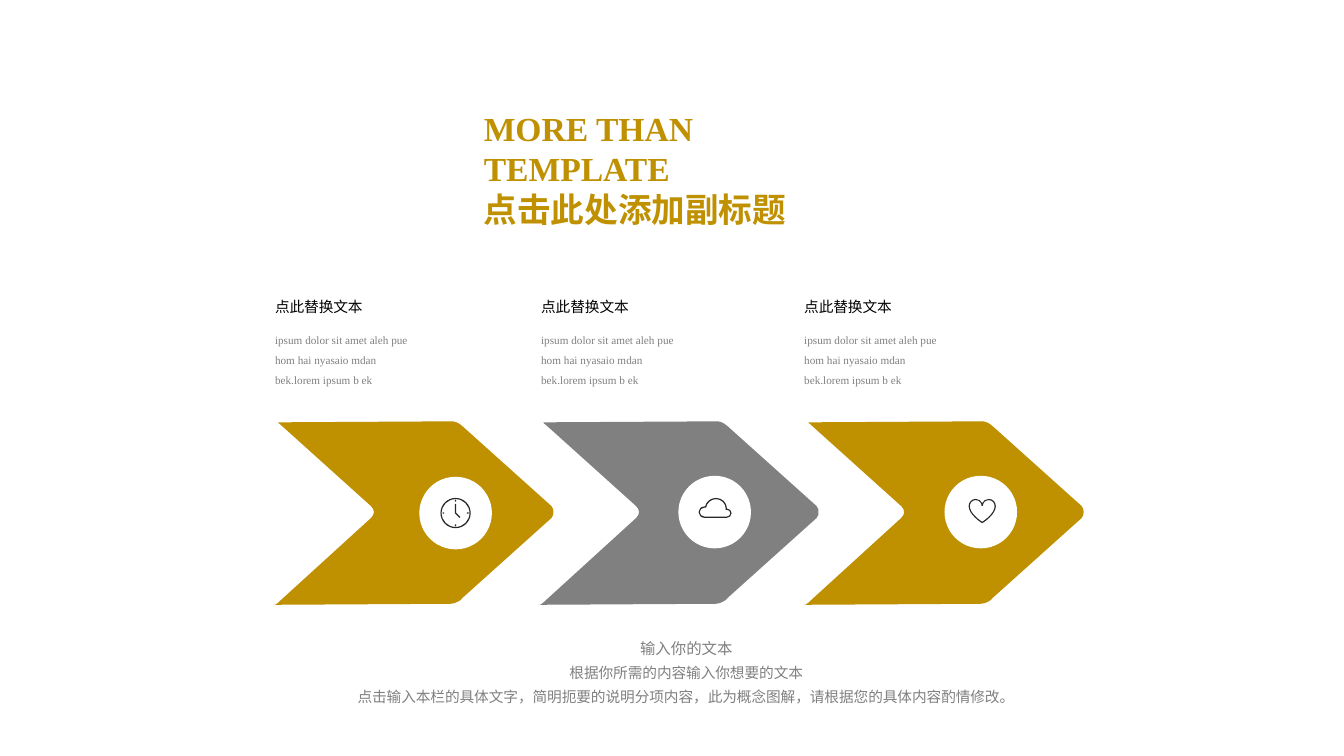
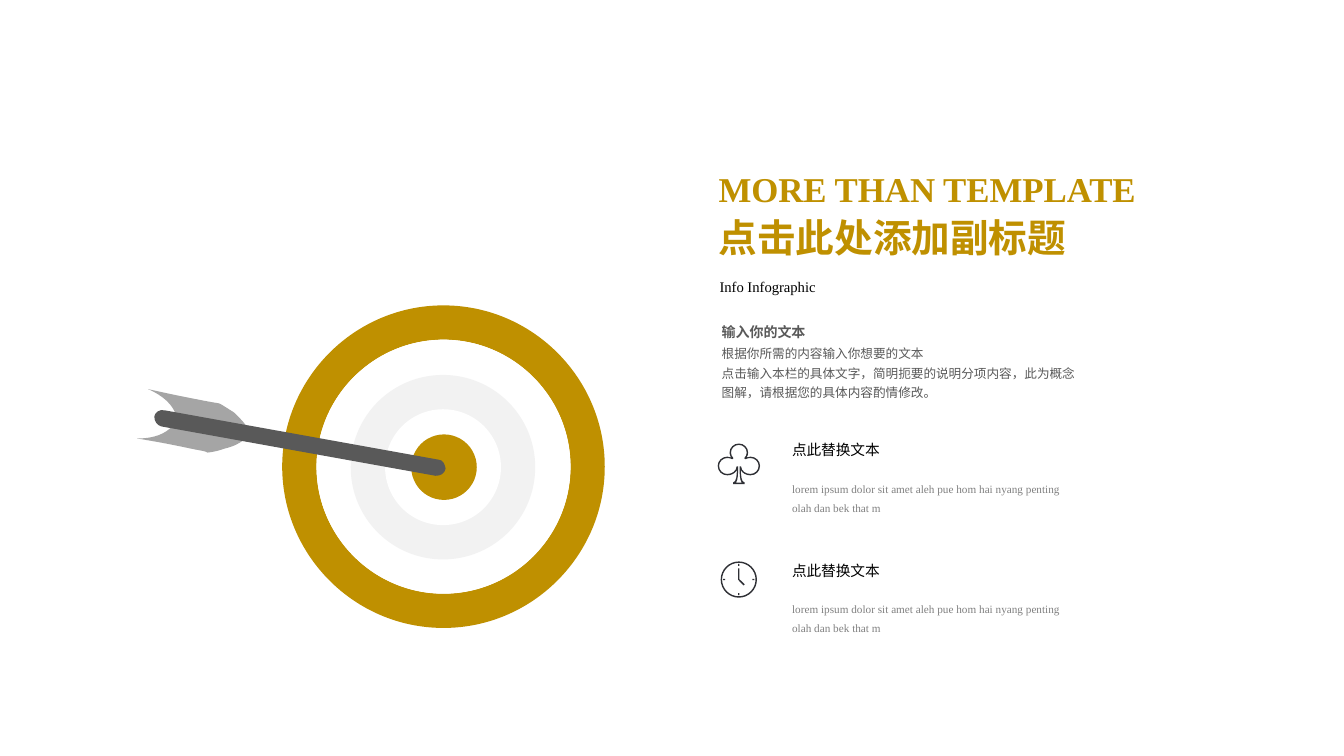
"""Build two infographic slides: a row of chevrons and a target with an arrow."""
from dataclasses import dataclass
from math import cos, radians, sin
from typing import NamedTuple, Optional

from pptx import Presentation
from pptx.dml.color import RGBColor
from pptx.enum.shapes import MSO_SHAPE as Preset
from pptx.enum.text import MSO_ANCHOR as Anchor, MSO_AUTO_SIZE as AutoSize, PP_ALIGN as Align
from pptx.oxml.ns import qn
from pptx.util import Emu, Pt

PX = 9144
FONT = "Times New Roman"
GOLD, GRAY, WHITE, BLACK = "BF9000", "808080", "FFFFFF", "000000"
PALE, FEATHER, DARK = "F2F2F2", "A5A5A5", "595959"
ICON_INK, ICON_SLATE = "282828", "2F3035"
ICON_UNIT = 0.1
KAPPA = 0.55

HEADING = "点此替换文本"
CHEVRON_TEXT = "ipsum dolor sit amet aleh pue hom hai nyasaio mdan bek.lorem ipsum b ek"
GOAL_TEXT = "lorem ipsum dolor sit amet aleh pue hom hai nyang penting olah dan bek that m"
TITLE_LINES = ("MORE THAN TEMPLATE", "点击此处添加副标题")
NOTE_LINES = (
    "输入你的文本",
    "根据你所需的内容输入你想要的文本",
    "点击输入本栏的具体文字，简明扼要的说明分项内容，此为概念图解，请根据您的具体内容酌情修改。",
)


class Box(NamedTuple):
    """A rectangle in px."""
    left: int
    top: int
    width: int
    height: int


@dataclass(frozen=True)
class Line:
    """A one-run paragraph."""
    text: str
    size: float
    color: str
    bold: bool = False


@dataclass(frozen=True)
class Layout:
    """Paragraph and frame settings of a text box."""
    inset_x: int = 10
    inset_y: int = 5
    align: Align = Align.LEFT
    anchor: Anchor = Anchor.TOP
    spacing: Optional[float | Pt] = None
    gap: float = 0


@dataclass(frozen=True)
class Step:
    """A chevron with its text column and icon disc."""
    text_left: int
    disc_left: int
    disc_top: int
    color: str


@dataclass(frozen=True)
class ArrowPart:
    """A turned piece of the arrow."""
    pen: tuple
    color: str
    angle: float


def circle(x: float, y: float, r: float) -> tuple:
    """Return a circle as four curves."""
    k = r * KAPPA
    return (
        (x, y - r), (x + k, y - r, x + r, y - k, x + r, y), (x + r, y + k, x + k, y + r, x, y + r),
        (x - k, y + r, x - r, y + k, x - r, y), (x - r, y - k, x - k, y - r, x, y - r),
    )


def bar(x: int, y: int, width: int, height: int) -> tuple:
    """Return a rectangle as corners."""
    return (x, y), (x + width, y), (x + width, y + height), (x, y + height)


PLAIN = Layout()
BODY = Layout(spacing=Pt(14))
STEPS = (Step(263, 416, 473, GOLD), Step(527, 673, 472, GRAY), Step(788, 937, 472, GOLD))
STEP_LEFT, STEP_TOP, STEP_PITCH = 271, 418, 263
DISC = 72

CHEVRON = (
    (176, 0), (5, 1), (5, 2, 6, 2, 7, 3), (97, 84), (99, 86, 100, 88, 100, 90),
    (100, 92, 99, 94, 97, 96), (7, 178), (6, 179, 4, 181, 2, 182), (1, 182, 1, 182, 0, 182),
    (176, 181), (179, 181, 181, 180, 183, 179), (185, 178, 187, 177, 188, 175), (276, 96),
    (278, 94, 278, 92, 278, 90), (278, 88, 278, 86, 276, 84), (188, 5),
    (186, 3, 184, 2, 182, 1), (180, 0, 178, 0, 176, 0),
)
HEART = (
    ((200, 0), (170, 0, 145, 18, 135, 42), (125, 18, 100, 0, 70, 0), (30, 0, 0, 32, 0, 73),
     (0, 150, 120, 235, 135, 240), (150, 235, 270, 150, 270, 73), (270, 32, 240, 0, 200, 0)),
    ((200, 12), (235, 12, 258, 40, 258, 73), (258, 145, 150, 218, 135, 227),
     (120, 218, 12, 145, 12, 73), (12, 40, 35, 12, 70, 12), (104, 12, 129, 38, 129, 70),
     (141, 70), (141, 38, 166, 12, 200, 12)),
)
CLOUD = (
    ((282, 106), (282, 47, 234, 0, 174, 0), (120, 0, 76, 36, 65, 85), (57, 85),
     (25, 85, 0, 110, 0, 141), (0, 172, 25, 197, 57, 197), (282, 197),
     (307, 197, 328, 177, 328, 151), (328, 126, 307, 106, 282, 106)),
    ((282, 185), (57, 185), (32, 185, 12, 165, 12, 141), (12, 117, 32, 97, 57, 97), (75, 97),
     (82, 50, 124, 12, 174, 12), (227, 12, 270, 55, 270, 106), (270, 118), (282, 118),
     (300, 118, 316, 133, 316, 151), (316, 170, 300, 185, 282, 185)),
)
CLUB = (
    ((325, 130), (312, 130, 300, 132, 288, 138), (297, 123, 302, 106, 302, 90),
     (302, 40, 261, 0, 210, 0), (159, 0, 118, 40, 118, 90), (118, 106, 123, 123, 132, 138),
     (120, 132, 108, 130, 95, 130), (42, 130, 0, 172, 0, 222), (0, 275, 42, 316, 95, 316),
     (135, 316, 172, 297, 190, 265), (190, 300, 187, 387, 152, 387), (152, 402), (268, 402),
     (268, 387), (233, 387, 230, 300, 230, 265), (248, 297, 285, 316, 325, 316),
     (378, 316, 420, 275, 420, 222), (420, 172, 378, 130, 325, 130)),
    ((325, 302), (275, 302, 236, 272, 232, 228), (218, 228), (218, 270),
     (218, 285, 218, 362, 238, 388), (182, 388), (202, 362, 202, 285, 202, 270), (202, 228),
     (188, 228), (184, 272, 145, 302, 95, 302), (50, 302, 14, 266, 14, 222),
     (14, 180, 50, 144, 95, 144), (113, 144, 130, 148, 145, 156), (157, 146),
     (141, 131, 132, 111, 132, 90), (132, 48, 167, 14, 210, 14), (253, 14, 288, 48, 288, 90),
     (288, 111, 279, 131, 263, 146), (275, 156), (290, 148, 307, 144, 325, 144),
     (370, 144, 406, 180, 406, 222), (406, 266, 370, 302, 325, 302)),
)
CLOCK_GRID = 360
CLOCK = (
    circle(180, 180, 180), circle(180, 180, 166),
    bar(173, 25, 14, 20), bar(173, 315, 14, 20), bar(25, 173, 20, 14), bar(315, 173, 20, 14),
    ((173, 70), (173, 183), (228, 238), (238, 228), (187, 177), (187, 70)),
)
ARROW = (
    ArrowPart((
        (174, 417), (174, 419, 172, 421, 171, 423), (164, 430, 154, 435, 136, 435),
        (167, 440, 184, 444, 194, 446), (206, 448, 206, 449, 206, 449),
        (207, 449, 215, 448, 223, 445), (232, 443, 240, 439, 247, 432)), FEATHER, 326.8),
    ArrowPart((
        (176, 417), (176, 415, 175, 413, 174, 410), (171, 402, 163, 393, 147, 386),
        (178, 393, 195, 396, 205, 398), (216, 400, 217, 400, 217, 400),
        (218, 400, 224, 404, 232, 409), (238, 415, 245, 421, 249, 431)), FEATHER, 235.1),
    ArrowPart((
        (440, 459), (439, 457, 437, 456, 435, 456), (163, 407), (158, 406, 154, 409, 153, 413),
        (153, 418, 156, 422, 160, 423), (432, 472), (437, 472, 441, 470, 442, 465),
        (442, 463, 441, 461, 440, 459)), DARK, 235.1),
)
TARGET_X, TARGET_Y = 440, 463
BANDS = ((160, 126, GOLD), (126, 92, WHITE))
DISCS = ((Box(348, 372, 183, 183), PALE), (Box(382, 406, 115, 115), WHITE),
         (Box(408, 431, 65, 65), GOLD))
GOAL_TOPS = ((432, 467), (552, 586))


def px(value: float) -> Emu:
    """Turn px into EMU."""
    return Emu(round(value * PX))


def rgb(color: str) -> RGBColor:
    """Turn a hex string into a colour."""
    return RGBColor.from_string(color)


def paint(shape, color: str) -> None:
    """Fill a shape and drop its line and shadow."""
    shape.shadow.inherit = False
    shape.fill.solid()
    shape.fill.fore_color.rgb = rgb(color)
    shape.line.fill.background()


def add_disc(page, box: Box, color: str) -> None:
    """Draw a filled circle."""
    paint(page.shapes.add_shape(Preset.OVAL, *map(px, box)), color)


def turn(x: float, y: float, angle: float) -> tuple:
    """Turn a point about the origin."""
    c, s = cos(radians(angle)), sin(radians(angle))
    return x * c - y * s, x * s + y * c


def add_outline(page, pens: tuple, color: str, left: int = 0, top: int = 0,
                unit: float = 1, angle: float = 0) -> None:
    """Draw closed outlines of corners and cubic curves as one shape."""
    builder = None
    for pen in pens:
        points = [turn(left + x * unit, top + y * unit, -angle)
                  for move in pen for x, y in zip(move[::2], move[1::2])]
        start, *rest = [(px(x), px(y)) for x, y in points]
        if builder:
            builder.move_to(*start)
        else:
            builder = page.shapes.build_freeform(*start, scale=1.0)
        builder.add_line_segments(rest, close=True)
    shape = builder.convert_to_shape()
    corners = iter(list(shape.element.iter(qn("a:lnTo"))))
    for move in (move for pen in pens for move in pen[1:]):
        curve = next(corners)
        if len(move) == 6:
            curve.tag = qn("a:cubicBezTo")
            for extra in (next(corners), next(corners)):
                curve.append(extra[0])
                extra.getparent().remove(extra)
    x, y = turn(shape.left + shape.width / 2, shape.top + shape.height / 2, angle)
    shape.left, shape.top = Emu(round(x - shape.width / 2)), Emu(round(y - shape.height / 2))
    shape.rotation = angle
    paint(shape, color)


def add_text(page, box: Box, lines: list, layout: Layout = PLAIN) -> None:
    """Write paragraphs in a text box."""
    frame = page.shapes.add_textbox(*map(px, box)).text_frame
    frame.word_wrap = True
    frame.auto_size = AutoSize.SHAPE_TO_FIT_TEXT
    frame.vertical_anchor = layout.anchor
    frame.margin_left = frame.margin_right = px(layout.inset_x)
    frame.margin_top = frame.margin_bottom = px(layout.inset_y)
    for index, line in enumerate(lines):
        para = frame.add_paragraph() if index else frame.paragraphs[0]
        para.alignment = layout.align
        if layout.spacing:
            para.line_spacing = layout.spacing
        if index and layout.gap:
            para.space_before = Pt(layout.gap)
        span = para.add_run()
        span.text = line.text
        span.font.name = FONT
        span.font.size = Pt(line.size)
        span.font.bold = line.bold
        span.font.color.rgb = rgb(line.color)


def add_title(page, box: Box, sizes: tuple, layout: Layout) -> None:
    """Write the two-language title."""
    add_text(page, box, [Line(t, s, GOLD, True) for t, s in zip(TITLE_LINES, sizes)], layout)


def add_note(page, box: Box, sizes: tuple, color: str, bold_first: bool, layout: Layout) -> None:
    """Write the three-paragraph note."""
    add_text(page, box, [Line(text, size, color, bold_first and text == NOTE_LINES[0])
                         for text, size in zip(NOTE_LINES, sizes)], layout)


def add_item(page, heading: Box, body: Box, text: str) -> None:
    """Write a heading and its small body text."""
    add_text(page, body, [Line(text, 8, GRAY)], BODY)
    add_text(page, heading, [Line(HEADING, 10.5, BLACK)])


def build_steps(page) -> None:
    """Draw the chevron slide."""
    for index, step in enumerate(STEPS):
        add_outline(page, (CHEVRON,), step.color, STEP_LEFT + index * STEP_PITCH, STEP_TOP)
        add_disc(page, Box(step.disc_left, step.disc_top, DISC, DISC), step.color and WHITE)
    add_outline(page, CLOCK, ICON_INK, 437, 494, 30 / CLOCK_GRID)
    add_outline(page, CLOUD, ICON_INK, 693, 494, ICON_UNIT)
    add_outline(page, HEART, ICON_INK, 961, 495, ICON_UNIT)
    for step in STEPS:
        add_item(page, Box(step.text_left, 291, 109, 28), Box(step.text_left, 320, 165, 69),
                 CHEVRON_TEXT)
    add_title(page, Box(467, 100, 403, 135), (24, 24), Layout(13, 7))
    add_note(page, Box(266, 622, 830, 88), (11, 10.5, 10.5), GRAY, False,
             Layout(16, 8, Align.CENTER, spacing=1.2, gap=2))


def build_target(page) -> None:
    """Draw the target slide."""
    for outer, inner, color in BANDS:
        rims = tuple(circle(TARGET_X, TARGET_Y, radius) for radius in (outer, inner))
        add_outline(page, rims, color)
    for box, color in DISCS:
        add_disc(page, box, color)
    for part in ARROW:
        add_outline(page, (part.pen,), part.color, angle=part.angle)
    add_outline(page, CLUB, ICON_SLATE, 712, 440, ICON_UNIT)
    add_outline(page, CLOCK, ICON_SLATE, 715, 557, 36 / CLOCK_GRID)
    add_text(page, Box(704, 271, 186, 28), [Line("Info Infographic", 10.5, BLACK)])
    for top, body_top in GOAL_TOPS:
        add_item(page, Box(776, top, 186, 28), Box(776, body_top, 295, 49), GOAL_TEXT)
    add_title(page, Box(703, 157, 441, 107), (24.9, 27.6),
              Layout(anchor=Anchor.MIDDLE, spacing=1.1))
    add_note(page, Box(704, 312, 384, 93), (10, 9, 9), DARK, True,
             Layout(12, 6, spacing=1.2, gap=1.6))


def main() -> None:
    """Build and save the deck."""
    deck = Presentation()
    deck.slide_width, deck.slide_height = Emu(px(4000) // 3), px(750)
    for build in (build_steps, build_target):
        build(deck.slides.add_slide(deck.slide_layouts[6]))
    deck.save("out.pptx")


if __name__ == "__main__":
    main()
